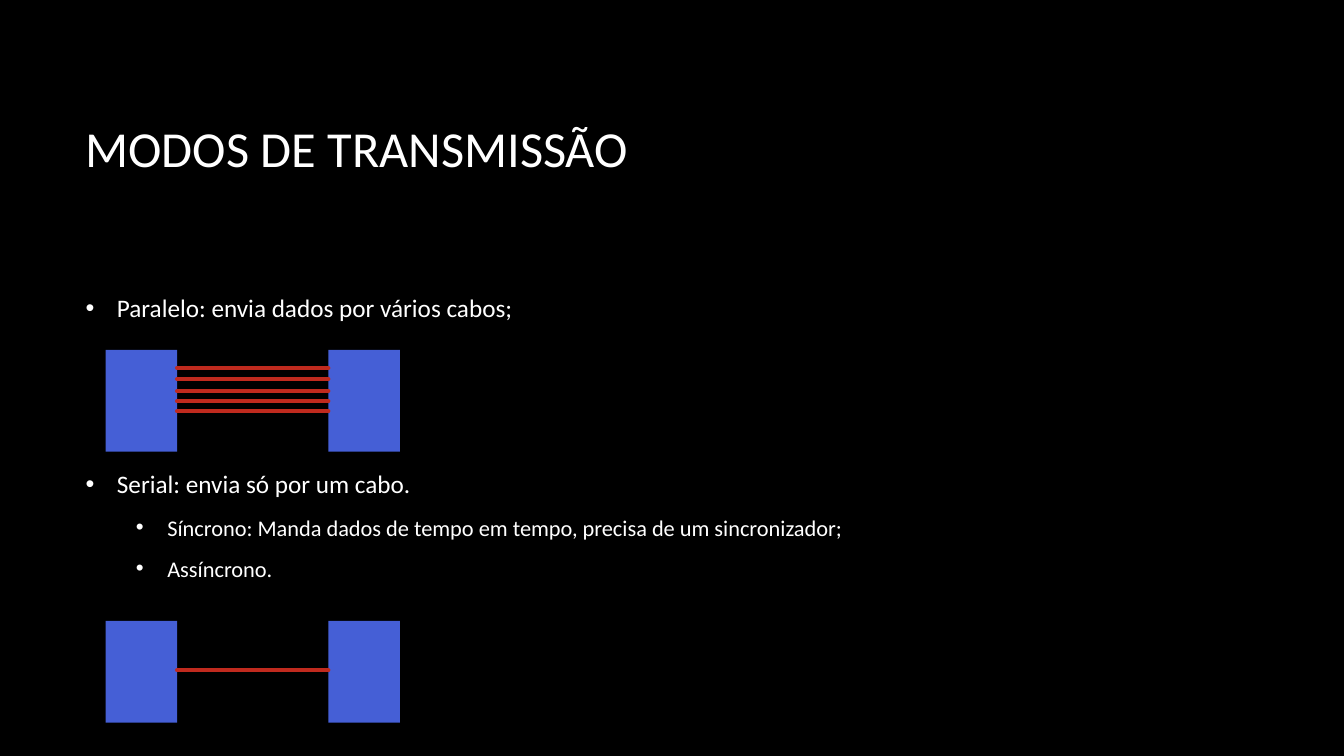
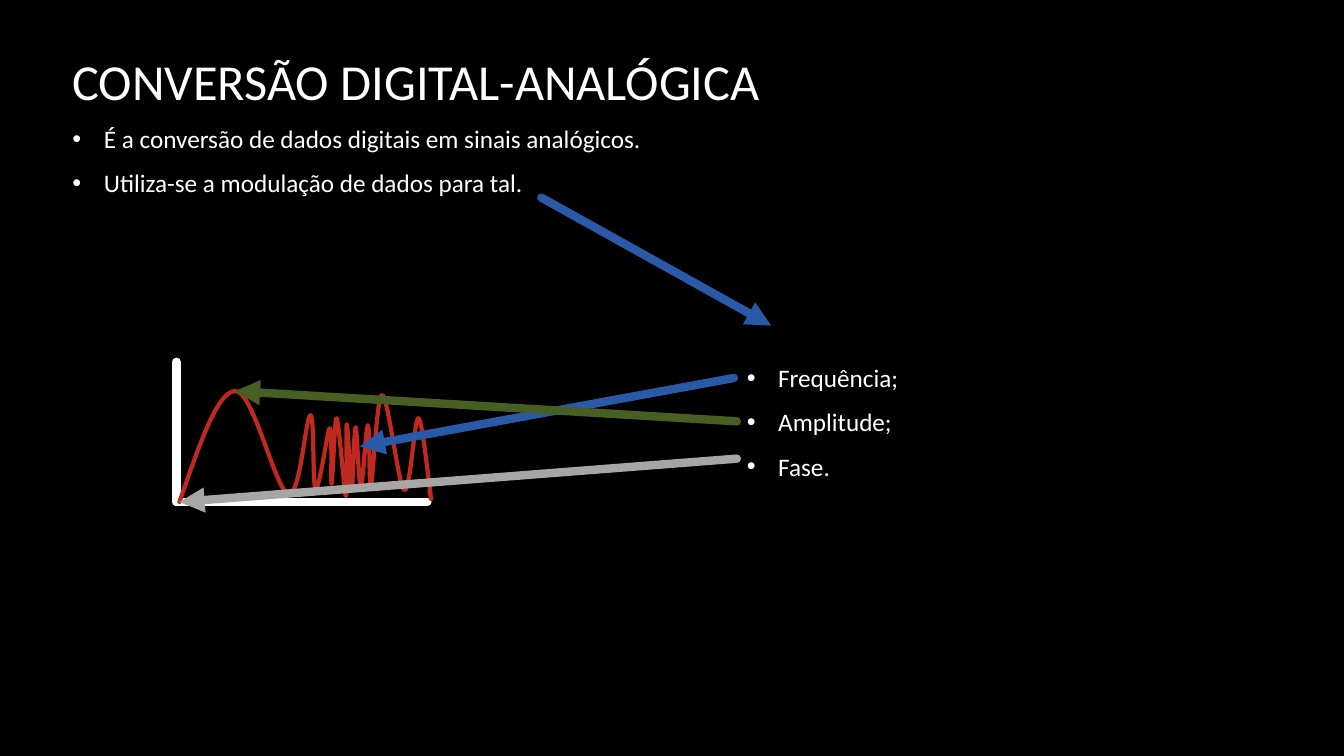
"""Builds two slides on transmission modes and digital-analogue conversion."""
from dataclasses import dataclass

from lxml import etree
from pptx import Presentation
from pptx.dml.color import RGBColor
from pptx.enum.shapes import MSO_CONNECTOR, MSO_SHAPE
from pptx.enum.text import MSO_ANCHOR
from pptx.oxml.ns import qn
from pptx.util import Inches, Pt

STRAIGHT = MSO_CONNECTOR.STRAIGHT
RECTANGLE = MSO_SHAPE.RECTANGLE
MIDDLE = MSO_ANCHOR.MIDDLE

CELL = 0.1  # side of a square grid cell, in inches
COLUMNS, ROWS = 133.33, 75
BLANK_LAYOUT = 6
TITLE_SIZE = (110.8, 15.9)
BODY_SIZE = (110.8, 39.9)


@dataclass(frozen=True)
class Theme:
    """Colours, fonts and sizes shared by the slides."""
    font: str = "Calibri"
    bullet_font: str = "Arial"
    background: str = "000000"
    text: str = "FFFFFF"
    device: str = "455FD6"
    signal: str = "C02A1E"
    blue: str = "2A59A8"
    green: str = "485F24"
    grey: str = "A6A6A6"
    title_size: int = 36
    body_sizes: tuple = (18, 16)
    hanging: float = 3.12
    level_step: float = 5
    space_after: int = 10
    thin: int = 3
    thick: int = 6


def cells(count):
    """Convert grid cells to a length."""
    return Inches(count * CELL)


def rgb(code):
    """Convert a hex code to a colour."""
    return RGBColor.from_string(code)


class Deck:
    """Holds the theme and the current slide, and draws on it."""

    def __init__(self, theme):
        """Start an empty presentation."""
        self.theme = theme
        self.presentation = Presentation()
        self.presentation.slide_width = cells(COLUMNS)
        self.presentation.slide_height = cells(ROWS)
        self.slide = None

    def new_slide(self):
        """Add a blank slide with the shared background."""
        layout = self.presentation.slide_layouts[BLANK_LAYOUT]
        self.slide = self.presentation.slides.add_slide(layout)
        fill = self.slide.background.fill
        fill.solid()
        fill.fore_color.rgb = rgb(self.theme.background)

    def text_frame(self, *place):
        """Add a wrapped, vertically centred text box."""
        frame = self.slide.shapes.add_textbox(*map(cells, place)).text_frame
        frame.word_wrap = True
        frame.vertical_anchor = MIDDLE
        return frame

    def add_run(self, paragraph, words, size):
        """Add one run in the shared font."""
        run = paragraph.add_run()
        run.text = words
        run.font.name = self.theme.font
        run.font.size = Pt(size)
        run.font.color.rgb = rgb(self.theme.text)

    def title(self, words, left, top):
        """Write the slide title."""
        frame = self.text_frame(left, top, *TITLE_SIZE)
        self.add_run(frame.paragraphs[0], words, self.theme.title_size)

    def bullets(self, items, left, top):
        """Write a list of (words, level, points of space before)."""
        frame = self.text_frame(left, top, *BODY_SIZE)
        for index, (words, level, gap) in enumerate(items):
            paragraph = frame.add_paragraph() if index else frame.paragraphs[0]
            paragraph.level = level
            paragraph.space_before = Pt(gap)
            paragraph.space_after = Pt(self.theme.space_after)
            self.add_run(paragraph, words, self.theme.body_sizes[level])
            self.mark(paragraph, level)

    def mark(self, paragraph, level):
        """Give a paragraph its bullet and hanging indent."""
        hanging = self.theme.hanging
        properties = paragraph._p.get_or_add_pPr()
        properties.set("marL", str(cells(hanging + level * self.theme.level_step)))
        properties.set("indent", str(-cells(hanging)))
        colour = etree.SubElement(properties, qn("a:buClr"))
        etree.SubElement(colour, qn("a:srgbClr"), val=self.theme.text)
        etree.SubElement(properties, qn("a:buFont"),
                         typeface=self.theme.bullet_font)
        etree.SubElement(properties, qn("a:buChar"), char="•")

    def block(self, *place):
        """Draw a device as a plain rectangle."""
        device = self.slide.shapes.add_shape(RECTANGLE, *map(cells, place))
        device.shadow.inherit = False
        device.fill.solid()
        device.fill.fore_color.rgb = rgb(self.theme.device)
        device.line.fill.background()

    def stroke(self, shape, colour, width):
        """Style an outline with round ends and return its XML element."""
        shape.line.color.rgb = rgb(colour)
        shape.line.width = Pt(width)
        outline = shape.element.spPr.find(qn("a:ln"))
        outline.set("cap", "rnd")
        etree.SubElement(outline, qn("a:round"))
        return outline

    def line(self, start, end, colour, width, arrow=False):
        """Draw a straight line, with an arrowhead at its end if asked."""
        link = self.slide.shapes.add_connector(
            STRAIGHT, *map(cells, (*start, *end)))
        outline = self.stroke(link, colour, width)
        if arrow:
            etree.SubElement(outline, qn("a:tailEnd"), type="triangle")
        etree.SubElement(link.element.spPr, qn("a:effectLst"))

    def curve(self, start, segments, colour, width):
        """Draw an open outline and bend each of its sides by two handles."""
        ends = [(cells(x), cells(y)) for *_, x, y in segments]
        builder = self.slide.shapes.build_freeform(*map(cells, start))
        builder.add_line_segments(ends, close=False)
        wave = builder.convert_to_shape()
        wave.shadow.inherit = False
        wave.fill.background()
        self.stroke(wave, colour, width)
        sides = list(wave.element.spPr.iter(qn("a:lnTo")))
        for side, segment in zip(sides, segments):
            bend = etree.Element(qn("a:cubicBezTo"))
            for x, y in zip(segment[::2], segment[1::2]):
                etree.SubElement(bend, qn("a:pt"),
                                 x=str(cells(x) - wave.left),
                                 y=str(cells(y) - wave.top))
            side.getparent().replace(side, bend)


def draw_link(deck, top, cable_rows):
    """Draw two devices joined by cables."""
    sender, receiver, width, height = 10.47, 32.57, 7.1, 10.1
    for left in (sender, receiver):
        deck.block(left, top, width, height)
    for row in cable_rows:
        deck.line((sender + width, row), (receiver, row),
                  deck.theme.signal, deck.theme.thin)


def build_modes(deck):
    """Slide on parallel and serial transmission."""
    deck.new_slide()
    deck.title("MODOS DE TRANSMISSÃO", 7.5, 6.7)
    deck.bullets([
        ("Paralelo: envia dados por vários cabos;", 0, 0),
        ("Serial: envia só por um cabo.", 0, 94),
        ("Síncrono: Manda dados de tempo em tempo, precisa de um sincronizador;",
         1, 1),
        ("Assíncrono.", 1, 0),
    ], 7.5, 23.4)
    draw_link(deck, 34.7, (36.5, 37.6, 38.8, 39.8, 40.8))
    draw_link(deck, 61.6, (66.5,))


# Each row: two handles and the end point, as x and y in grid cells.
WAVE = [
    (19.7, 44.4, 21.5, 38.9, 23.3, 38.8),
    (25.1, 38.6, 27.3, 48.6, 28.6, 49.0),
    (29.8, 49.4, 30.3, 41.3, 30.8, 41.2),
    (31.2, 41.1, 31.0, 48.3, 31.3, 48.5),
    (31.7, 48.7, 32.5, 42.5, 32.7, 42.5),
    (33.0, 42.4, 32.8, 48.2, 32.9, 48.0),
    (33.0, 47.9, 33.2, 41.3, 33.4, 41.5),
    (33.6, 41.7, 34.2, 49.2, 34.3, 49.2),
    (34.5, 49.3, 34.3, 42.2, 34.4, 42.1),
    (34.5, 42.0, 34.8, 48.5, 34.9, 48.6),
    (35.0, 48.6, 35.1, 42.4, 35.3, 42.4),
    (35.4, 42.3, 35.6, 48.3, 35.8, 48.3),
    (36.0, 48.3, 36.3, 42.2, 36.5, 42.2),
    (36.7, 42.2, 36.6, 48.7, 36.8, 48.2),
    (37.0, 47.7, 37.4, 39.1, 37.9, 39.2),
    (38.5, 39.2, 39.5, 48.2, 40.1, 48.6),
    (40.7, 49.0, 41.1, 41.5, 41.5, 41.5),
    (41.9, 41.6, 42.5, 47.7, 42.7, 48.9),
    (42.8, 50.1, 42.8, 49.4, 42.6, 48.7),
]


def build_conversion(deck):
    """Slide on modulation and the properties of a wave."""
    theme = deck.theme
    deck.new_slide()
    deck.title("CONVERSÃO DIGITAL-ANALÓGICA", 6.2, 0)
    deck.bullets([
        ("É a conversão de dados digitais em sinais analógicos.", 0, 0),
        ("Utiliza-se a modulação de dados para tal.", 0, 0),
    ], 6.2, -4)
    deck.line((53.7, 19.6), (76.5, 32.3), theme.blue, theme.thick, arrow=True)
    properties = ("Frequência;", "Amplitude;", "Fase.")
    deck.bullets([(words, 0, 0) for words in properties], 73.1, 21.9)

    origin, wave_start = (17.5, 49.8), (17.8, 49.8)
    for start, end in (((17.5, 35.9), origin), (origin, (42.4, 49.8))):
        deck.line(start, end, theme.text, theme.thick)
    deck.curve(wave_start, WAVE, theme.signal, theme.thin)
    crest = WAVE[0][-2:]
    for label, feature, colour in (
            ((72.8, 37.5), (35.7, 44.3), theme.blue),
            ((73.1, 41.8), crest, theme.green),
            ((73.1, 45.5), wave_start, theme.grey)):
        deck.line(label, feature, colour, theme.thick, arrow=True)


def main():
    """Build and save the slides."""
    deck = Deck(Theme())
    build_modes(deck)
    build_conversion(deck)
    deck.presentation.save("out.pptx")


main()
